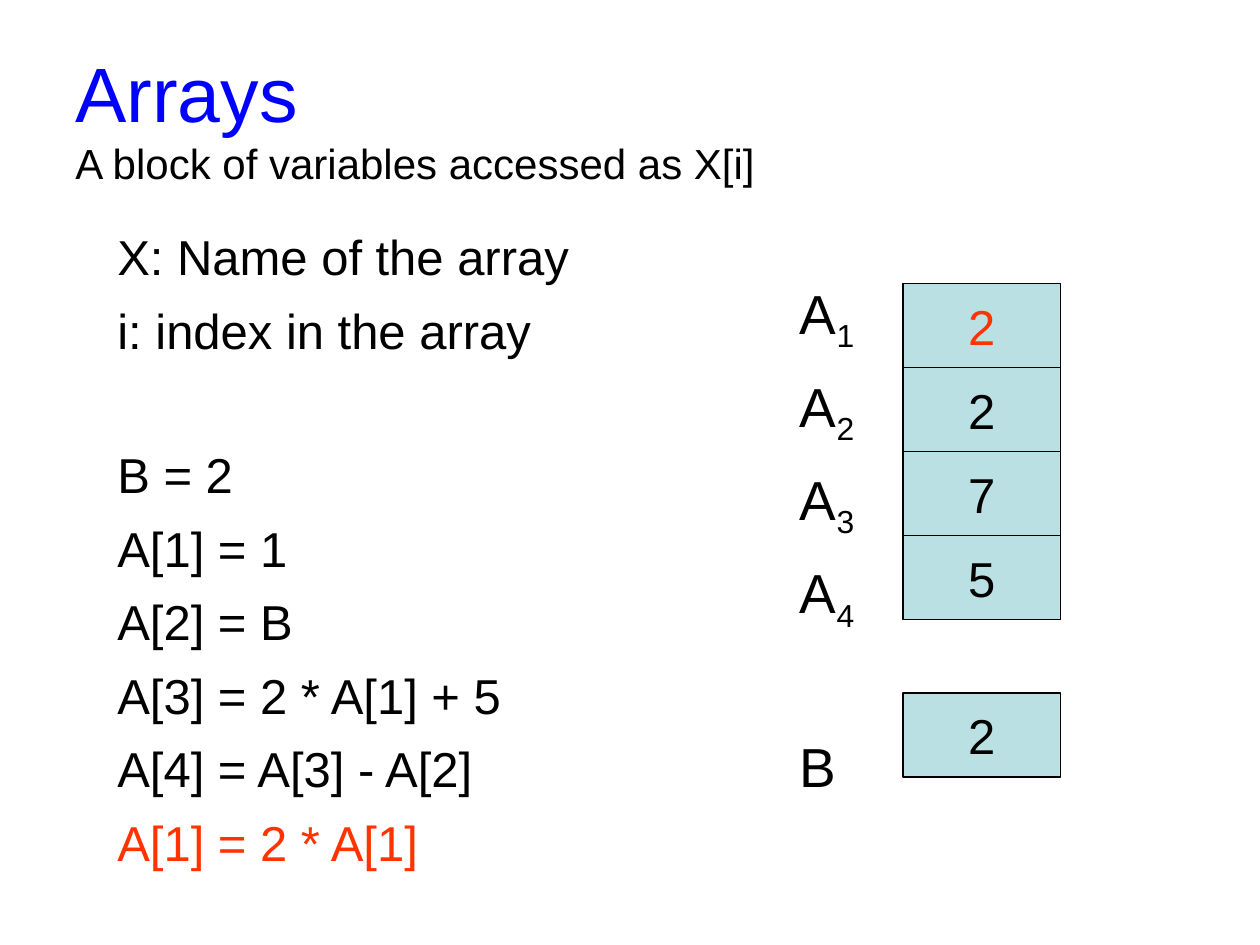
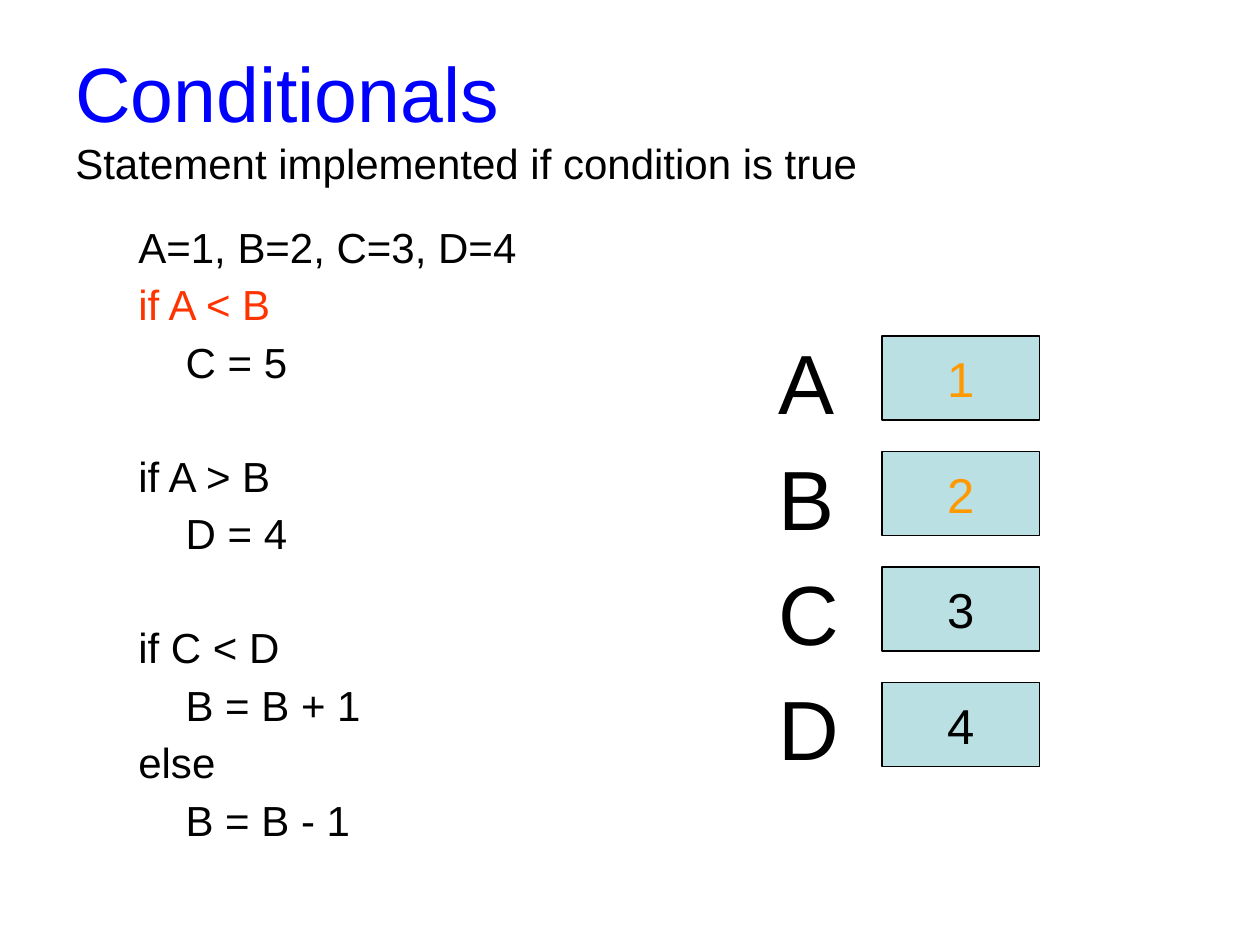
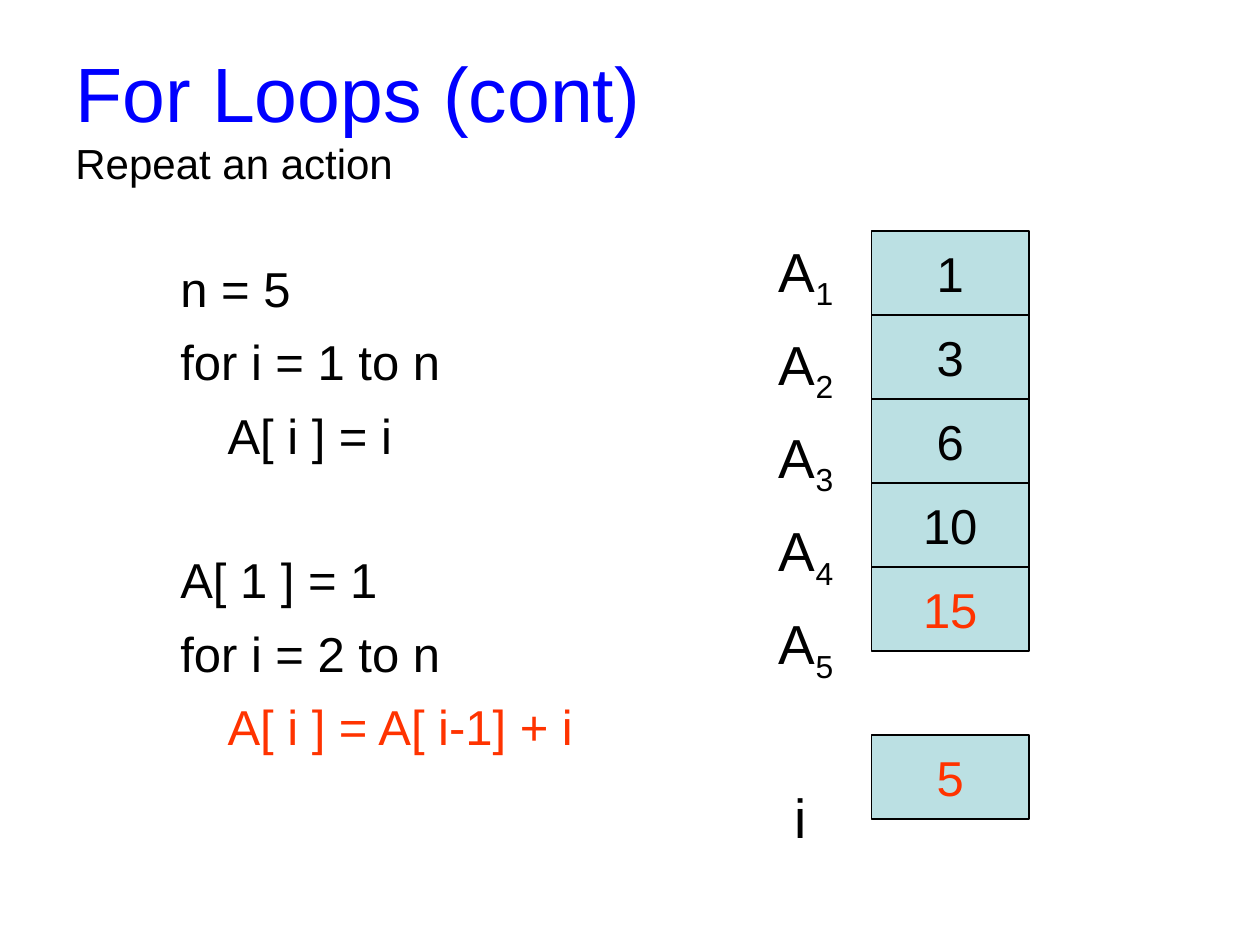
"""Build three slides on arrays, conditionals and for loops."""
from dataclasses import dataclass

from pptx import Presentation
from pptx.dml.color import RGBColor
from pptx.enum.shapes import MSO_SHAPE
from pptx.enum.text import MSO_ANCHOR, PP_ALIGN
from pptx.util import Pt

PX = 7620
FONT = "Arial"
COLORS = {"title": "0000FF", "text": "000000", "active": "FF3300",
          "compared": "FF9900", "cell": "BBE0E3", "line": "000000"}
CELL_WIDTH, CELL_HEIGHT = 150, 80
INDENT = 45


@dataclass
class Line:
    text: str
    color: str = "text"
    indent: int = 0
    gap: float = 0
    subscript: str = ""


@dataclass
class Block:
    left: int
    top: int
    width: int
    height: int
    size: float
    before: float
    spacing: float
    lines: list


def style_font(font, size, color):
    font.name = FONT
    font.size = Pt(size)
    font.color.rgb = RGBColor.from_string(COLORS[color])


def add_text_box(slide, left, top, width, height):
    shape = slide.shapes.add_textbox(left * PX, top * PX, width * PX, height * PX)
    shape.text_frame.word_wrap = True
    return shape.text_frame


def_labels = [Line("A", subscript=str(index)) for index in range(1, 6)]

SLIDES = [
    {
        "title": "Arrays",
        "subtitle": "A block of variables accessed as X[i]",
        "blocks": [
            Block(100, 210, 490, 620, 28, 8.4, 1, [
                Line("X: Name of the array"),
                Line("i: index in the array"),
                Line("B = 2", gap=40.6),
                Line("A[1] = 1"),
                Line("A[2] = B"),
                Line("A[3] = 2 * A[1] + 5"),
                Line("A[4] = A[3] - A[2]"),
                Line("A[1] = 2 * A[1]", "active"),
            ]),
            Block(750, 260, 420, 490, 31.4, 10.3, 1,
                  def_labels[:4] + [Line("B", gap=46.3)]),
        ],
        "cells": [
            (860, 270, 80, [("2", "active"), ("2", "text"), ("7", "text"), ("5", "text")]),
            (860, 660, 80, [("2", "text")]),
        ],
    },
    {
        "title": "Conditionals",
        "subtitle": "Statement implemented if condition is true",
        "blocks": [
            Block(120, 210, 490, 620, 24, 7.1, 0.9, [
                Line("A=1, B=2, C=3, D=4"),
                Line("if A < B", "active"),
                Line("C = 5", indent=INDENT),
                Line("if A > B", gap=31.9),
                Line("D = 4", indent=INDENT),
                Line("if C < D", gap=31.9),
                Line("B = B + 1", indent=INDENT),
                Line("else"),
                Line("B = B - 1", indent=INDENT),
            ]),
            Block(730, 320, 420, 490, 48, 14.1, 0.9, [Line(name) for name in "ABCD"]),
        ],
        "cells": [
            (840, 320, 110, [("1", "compared"), ("2", "compared"), ("3", "text"), ("4", "text")]),
        ],
    },
    {
        "title": "For Loops (cont)",
        "subtitle": "Repeat an action",
        "blocks": [
            Block(160, 240, 490, 620, 28, 8.4, 1, [
                Line("n = 5"),
                Line("for i = 1 to n"),
                Line("A[ i ] = i", indent=INDENT),
                Line("A[ 1 ] = 1", gap=40.6),
                Line("for i = 2 to n"),
                Line("A[ i ] = A[ i-1] + i", "active", INDENT),
            ]),
            Block(730, 220, 420, 610, 31.4, 10.3, 1,
                  def_labels + [Line("i", indent=15, gap=46.3)]),
        ],
        "cells": [
            (830, 220, 80, [("1", "text"), ("3", "text"), ("6", "text"),
                            ("10", "text"), ("15", "active")]),
            (830, 700, 80, [("5", "active")]),
        ],
    },
]

presentation = Presentation()
presentation.slide_width = 1200 * PX
presentation.slide_height = 900 * PX

for content in SLIDES:
    slide = presentation.slides.add_slide(presentation.slide_layouts[6])

    title_frame = add_text_box(slide, 60, 36, 1080, 150)
    title_frame.vertical_anchor = MSO_ANCHOR.MIDDLE
    paragraph = title_frame.paragraphs[0]
    title_run = paragraph.add_run()
    title_run.text = content["title"]
    style_font(title_run.font, 44, "title")
    paragraph.add_line_break()
    subtitle_run = paragraph.add_run()
    subtitle_run.text = content["subtitle"]
    style_font(subtitle_run.font, 24, "text")

    for block in content["blocks"]:
        text_frame = add_text_box(slide, block.left, block.top, block.width, block.height)
        for number, line in enumerate(block.lines):
            paragraph = text_frame.add_paragraph() if number else text_frame.paragraphs[0]
            paragraph.line_spacing = block.spacing
            if number:
                paragraph.space_before = Pt(block.before + line.gap)
            if line.indent:
                paragraph._p.get_or_add_pPr().set("marL", str(line.indent * PX))
            style_font(paragraph.font, block.size, line.color)
            paragraph.add_run().text = line.text
            if line.subscript:
                subscript_run = paragraph.add_run()
                subscript_run.text = line.subscript
                subscript_run.font._element.set("baseline", "-25000")

    for left, top, pitch, values in content["cells"]:
        for row, (value, color) in enumerate(values):
            cell = slide.shapes.add_shape(
                MSO_SHAPE.RECTANGLE, left * PX, (top + row * pitch) * PX,
                CELL_WIDTH * PX, CELL_HEIGHT * PX)
            cell.shadow.inherit = False
            cell.fill.solid()
            cell.fill.fore_color.rgb = RGBColor.from_string(COLORS["cell"])
            cell.line.color.rgb = RGBColor.from_string(COLORS["line"])
            cell.line.width = Pt(0.75)
            cell.text_frame.word_wrap = False
            cell.text_frame.vertical_anchor = MSO_ANCHOR.MIDDLE
            paragraph = cell.text_frame.paragraphs[0]
            paragraph.text = value
            paragraph.alignment = PP_ALIGN.CENTER
            style_font(paragraph.font, 28, color)

presentation.save("out.pptx")
